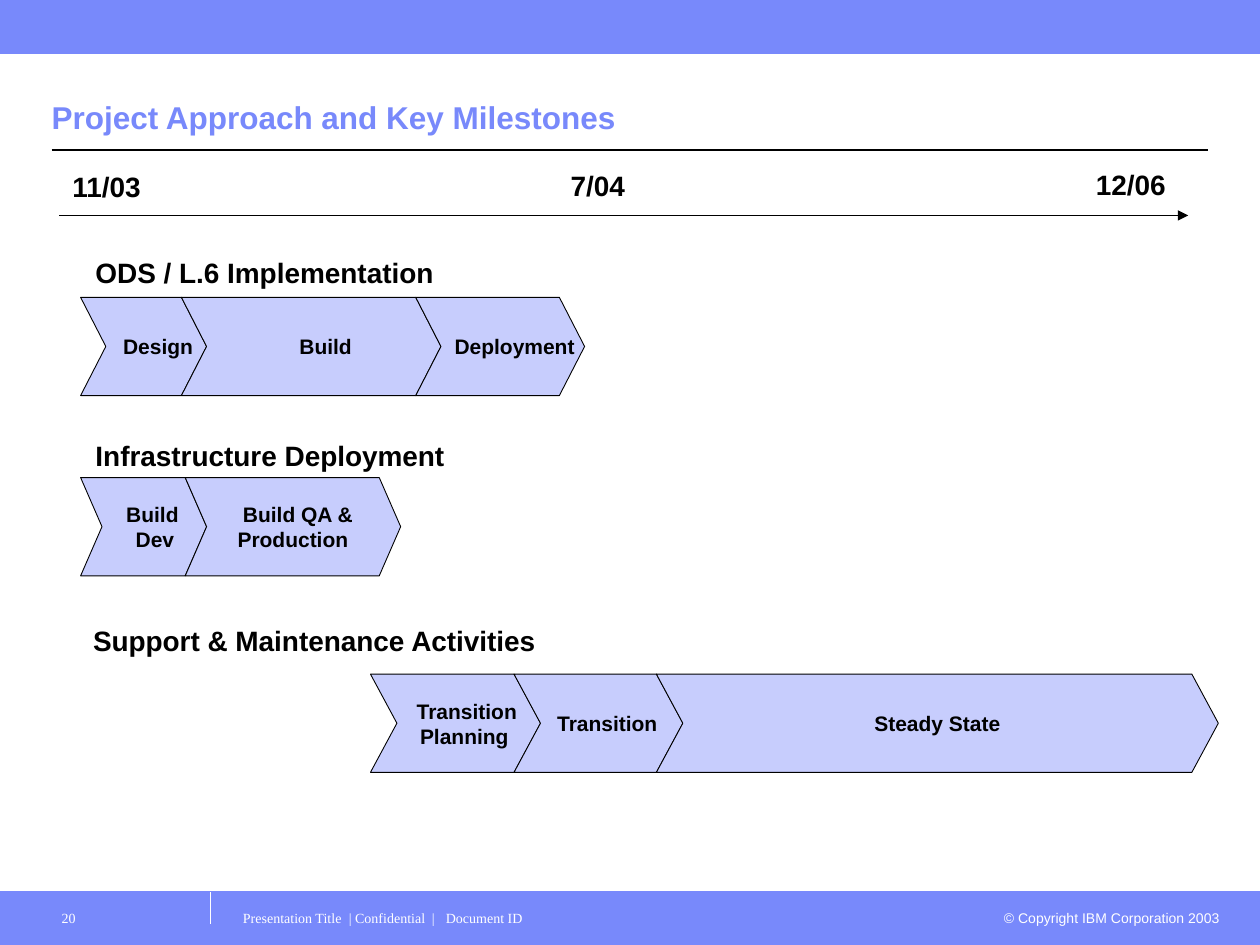
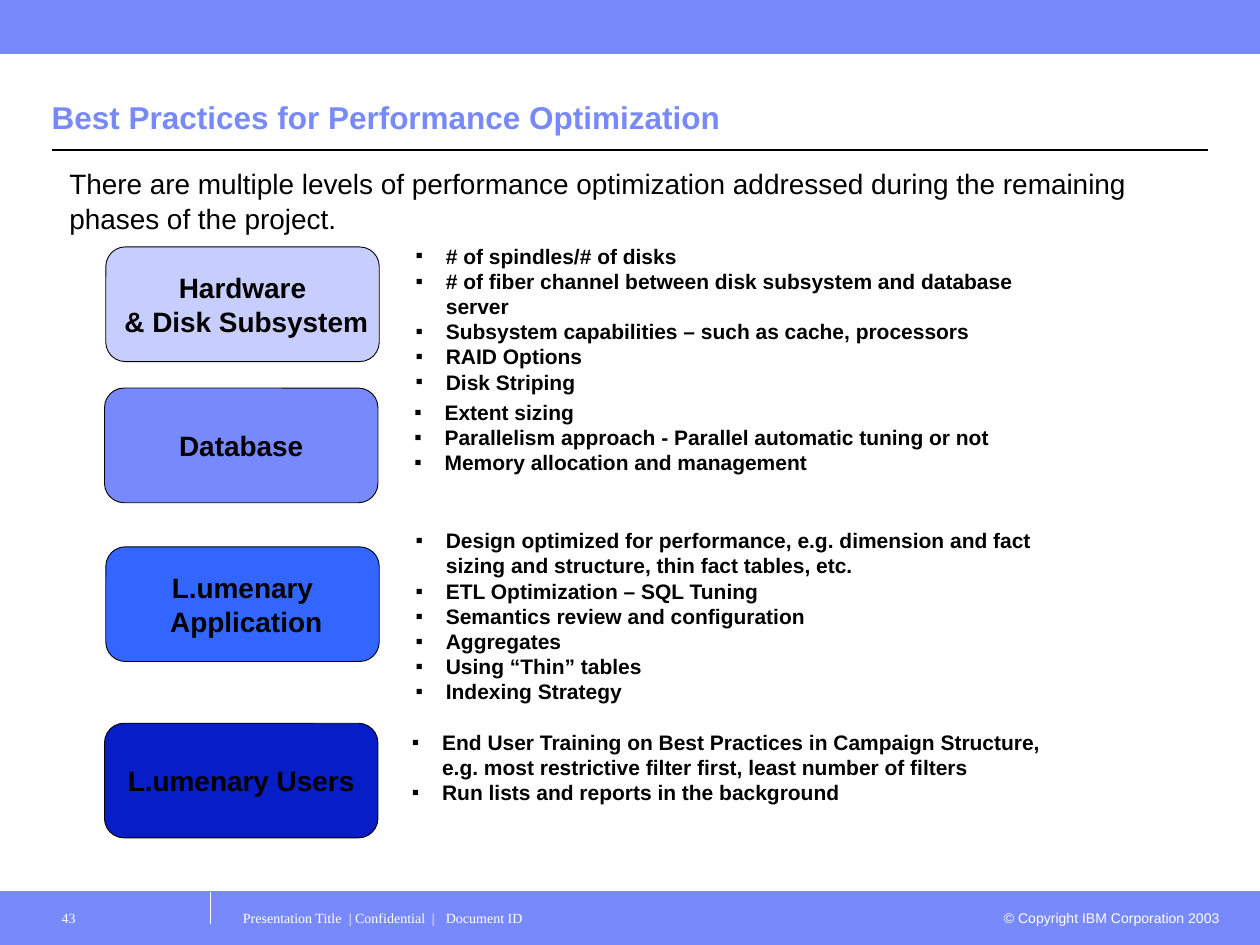
from dataclasses import dataclass
from typing import Any

from lxml import etree
from pptx import Presentation
from pptx import util as u
from pptx.dml import color
from pptx.enum import shapes, text
from pptx.oxml import ns

HUES = {
    "band": "7889FB",
    "pale": "C7CDFD",
    "bright": "3366FF",
    "deep": "061DC8",
    "ink": "000000",
    "white": "FFFFFF",
}
SANS, SERIF = "Arial", "Times New Roman"
ALIGN, ANCHOR = text.PP_ALIGN, text.MSO_ANCHOR
KIND = shapes.MSO_SHAPE

TITLE = {"size": u.Pt(18), "bold": True, "name": SANS}
HEAD = {"size": u.Pt(16), "bold": True, "name": SANS}
PLAIN = {"size": u.Pt(16), "bold": False, "name": SANS}
LABEL = {"size": u.Pt(12), "bold": True, "name": SANS}
SMALL = {"size": u.Pt(8), "bold": False, "name": SANS}
FOOT = {"size": u.Pt(8), "bold": False, "name": SERIF}

PADS = (0.1, 0.05, 0.1, 0.05)
FLUSH = (0, 0.05, 0, 0.05)
NO_PADS = (0, 0, 0, 0)


@dataclass
class Line:
    """One paragraph; nudge is the left indent of centred text, in inches."""
    words: str
    nudge: float = 0


@dataclass
class Step:
    right: float
    lines: list[Line]


@dataclass
class Track:
    """A heading over a row of chevrons that fit into each other."""
    head: str
    head_at: tuple[float, float]
    left: float
    top: float
    notch: float
    steps: list[Step]


@dataclass
class Level:
    left: float
    top: float
    hue: str
    lines: list[Line]
    list_at: tuple[float, float]
    points: list[str]


@dataclass
class Date:
    words: str
    left: float
    top: float
    width: float


DATES = [
    Date("11/03", 0.47, 1.3, 0.75),
    Date("7/04", 4.43, 1.29, 0.63),
    Date("12/06", 8.6, 1.28, 0.75),
]

TRACKS = [
    Track("ODS / L.6 Implementation", (0.66, 1.98), 0.64, 2.36, 0.2, [
        Step(1.64, [Line("Design", 0.23)]),
        Step(3.5, [Line("Build", 0.23)]),
        Step(4.64, [Line("Deployment", 0.23)]),
    ]),
    Track("Infrastructure Deployment", (0.66, 3.43), 0.64, 3.79, 0.17, [
        Step(1.64, [Line("Build", 0.14), Line("Dev", 0.18)]),
        Step(3.18, [Line("Build QA &", 0.08), Line("Production")]),
    ]),
    Track("Support & Maintenance Activities", (0.64, 4.9), 2.94, 5.35, 0.21, [
        Step(4.29, [Line("Transition", 0.18), Line("Planning", 0.14)]),
        Step(5.42, [Line("Transition", 0.14)]),
        Step(9.67, [Line("Steady State")]),
    ]),
]

LEVELS = [
    Level(0.84, 1.96, "pale",
          [Line("Hardware"), Line("& Disk Subsystem", 0.06)], (3.2, 1.88), [
              "# of spindles/# of disks",
              "# of fiber channel between disk subsystem and database server",
              "Subsystem capabilities – such as cache, processors",
              "RAID Options",
              "Disk Striping",
          ]),
    Level(0.83, 3.08, "band", [Line("Database")], (3.19, 3.12), [
        "Extent sizing",
        "Parallelism approach - Parallel automatic tuning or not",
        "Memory allocation and management",
    ]),
    Level(0.84, 4.34, "bright",
          [Line("L.umenary"), Line("Application", 0.06)], (3.2, 4.14), [
              "Design optimized for performance, e.g. dimension and fact "
              "sizing and structure, thin fact tables, etc.",
              "ETL Optimization – SQL Tuning",
              "Semantics review and configuration",
              "Aggregates",
              "Using “Thin” tables",
              "Indexing Strategy",
          ]),
    Level(0.83, 5.74, "deep", [Line("L.umenary Users")], (3.17, 5.74), [
        "End User Training on Best Practices in Campaign Structure, "
        "e.g. most restrictive filter first, least number of filters",
        "Run lists and reports in the background",
    ]),
]


def rgb(hue: str) -> color.RGBColor:
    return color.RGBColor.from_string(HUES[hue])


def put(thing: Any, values: dict[str, Any]) -> None:
    for name, value in values.items():
        setattr(thing, name, value)


def add_tag(parent: Any, tag: str, **values: str) -> Any:
    node = etree.SubElement(parent, ns.qn(tag))
    for name, value in values.items():
        node.set(name, value)
    return node


def write(shape: Any, lines: list[Line], font: dict[str, Any],
          hue: str = "ink", align: Any = ALIGN.LEFT, anchor: Any = ANCHOR.TOP,
          pads: tuple = PADS, wrap: bool = True) -> list[Any]:
    """Fill a shape with text and return its paragraphs."""
    frame = shape.text_frame
    put(frame, {"word_wrap": wrap, "vertical_anchor": anchor})
    sides = ("left", "top", "right", "bottom")
    put(frame, {f"margin_{side}": u.Inches(pad)
                for side, pad in zip(sides, pads)})
    for spot, line in enumerate(lines):
        para = frame.add_paragraph() if spot else frame.paragraphs[0]
        para.alignment = align
        if line.nudge:
            para._p.get_or_add_pPr().set("marL", str(u.Inches(line.nudge)))
        run = para.add_run()
        run.text = line.words
        put(run.font, font)
        run.font.color.rgb = rgb(hue)
    return list(frame.paragraphs)


def add_text(slide: Any, at: tuple, words: list[str], font: dict[str, Any],
             **look: Any) -> list[Any]:
    box = slide.shapes.add_textbox(*map(u.Inches, at))
    return write(box, [Line(item) for item in words], font, **look)


def paint(shape: Any, fill: str, edge: str, width: float) -> None:
    shape.shadow.inherit = False
    shape.fill.solid()
    shape.fill.fore_color.rgb = rgb(fill)
    shape.line.color.rgb = rgb(edge)
    shape.line.width = u.Pt(width)


def add_rule(slide: Any, ends: tuple, hue: str, width: float,
             arrow: bool = False) -> None:
    rule = slide.shapes.add_connector(shapes.MSO_CONNECTOR.STRAIGHT,
                                      *map(u.Inches, ends))
    rule.line.color.rgb = rgb(hue)
    rule.line.width = u.Pt(width)
    if arrow:
        add_tag(rule.line._get_or_add_ln(), "a:tailEnd", type="triangle")
    add_tag(rule._element.spPr, "a:effectLst")


def add_frame(deck: Any, title: str, number: str) -> Any:
    """Add a slide with the shared bands, rules, title and footer."""
    slide = deck.slides.add_slide(deck.slide_layouts[6])
    for top, edge in ((7.08, 7.08), (0, 0.42)):
        band = slide.shapes.add_shape(
            KIND.RECTANGLE, *map(u.Inches, (0, top, 10, 0.42)))
        paint(band, "band", "band", 0.75)
        add_rule(slide, (0, edge, 10, edge), "band", 0.5)
    add_rule(slide, (1.67, 7.33, 1.67, 7.08), "white", 0.75)
    add_rule(slide, (0.41, 1.19, 9.59, 1.19), "ink", 0.75)
    add_text(slide, (0.41, 0.52, 9.18, 0.61), [title], TITLE, hue="band",
             anchor=ANCHOR.BOTTOM, pads=FLUSH)
    add_text(slide, (7.83, 7.17, 1.95, 0.24),
             ["© Copyright IBM Corporation 2003"], SMALL, hue="white",
             align=ALIGN.RIGHT)
    foot = add_text(slide, (1.83, 7.15, 6, 0.35),
                    ["Presentation Title\t| Confidential\t|\tDocument ID"],
                    FOOT, hue="white", pads=(0.1, 0.07, 0.1, 0.05))
    tabs = add_tag(foot[0]._p.get_or_add_pPr(), "a:tabLst")
    for stop in (0.84, 1.5, 1.61):
        add_tag(tabs, "a:tab", pos=str(u.Inches(stop)), algn="l")
    add_text(slide, (0.33, 7.15, 1.33, 0.35), [number], FOOT, hue="white",
             pads=(0.16, 0.07, 0.1, 0.05))
    return slide


def add_step(slide: Any, left: float, track: Track, step: Step) -> None:
    high = 0.78
    top, mid, low = track.top, track.top + high / 2, track.top + high
    neck = step.right - track.notch
    spots = [(left, top), (neck, top), (step.right, mid), (neck, low),
             (left, low), (left + track.notch, mid)]
    spots = [(u.Inches(x), u.Inches(y)) for x, y in spots]
    pen = slide.shapes.build_freeform(*spots[0])
    pen.add_line_segments(spots[1:], close=True)
    shape = pen.convert_to_shape()
    paint(shape, "pale", "ink", 0.5)
    write(shape, step.lines, LABEL, align=ALIGN.CENTER,
          anchor=ANCHOR.MIDDLE, pads=NO_PADS)


def add_track(slide: Any, track: Track) -> None:
    add_text(slide, (*track.head_at, 4.1, 0.37), [track.head], HEAD)
    left = track.left
    for step in track.steps:
        add_step(slide, left, track, step)
        left = step.right - track.notch


def add_level(slide: Any, level: Level) -> None:
    box = slide.shapes.add_shape(
        KIND.ROUNDED_RECTANGLE,
        *map(u.Inches, (level.left, level.top, 2.17, 0.91)))
    box.adjustments[0] = 0.17
    paint(box, level.hue, "ink", 0.5)
    write(box, level.lines, HEAD, align=ALIGN.CENTER,
          anchor=ANCHOR.MIDDLE, pads=NO_PADS)
    for para in add_text(slide, (*level.list_at, 5.39, 0.9), level.points,
                         LABEL):
        props = para._p.get_or_add_pPr()
        props.set("marL", str(u.Inches(0.24)))
        props.set("indent", str(u.Inches(-0.24)))
        tint = add_tag(props, "a:buClr")
        add_tag(tint, "a:srgbClr", val=HUES["ink"])
        add_tag(props, "a:buFont", typeface=SANS)
        add_tag(props, "a:buChar", char="▪")


def main() -> None:
    deck = Presentation()
    put(deck, {"slide_width": u.Inches(10), "slide_height": u.Inches(7.5)})

    plan = add_frame(deck, "Project Approach and Key Milestones", "20")
    add_rule(plan, (0.47, 1.71, 9.43, 1.71), "ink", 0.5, arrow=True)
    for date in DATES:
        add_text(plan, (date.left, date.top, date.width, 0.37), [date.words],
                 HEAD, align=ALIGN.CENTER, pads=FLUSH, wrap=False)
    for track in TRACKS:
        add_track(plan, track)

    tips = add_frame(deck, "Best Practices for Performance Optimization", "43")
    lead = add_text(tips, (0.5, 1.26, 9, 0.65),
                    ["There are multiple levels of performance optimization "
                     "addressed during the remaining phases of the project."],
                    PLAIN, pads=(0.05, 0.05, 0.05, 0.05))
    lead[0].line_spacing = 1.04
    for level in LEVELS:
        add_level(tips, level)

    deck.save("out.pptx")


if __name__ == "__main__":
    main()
